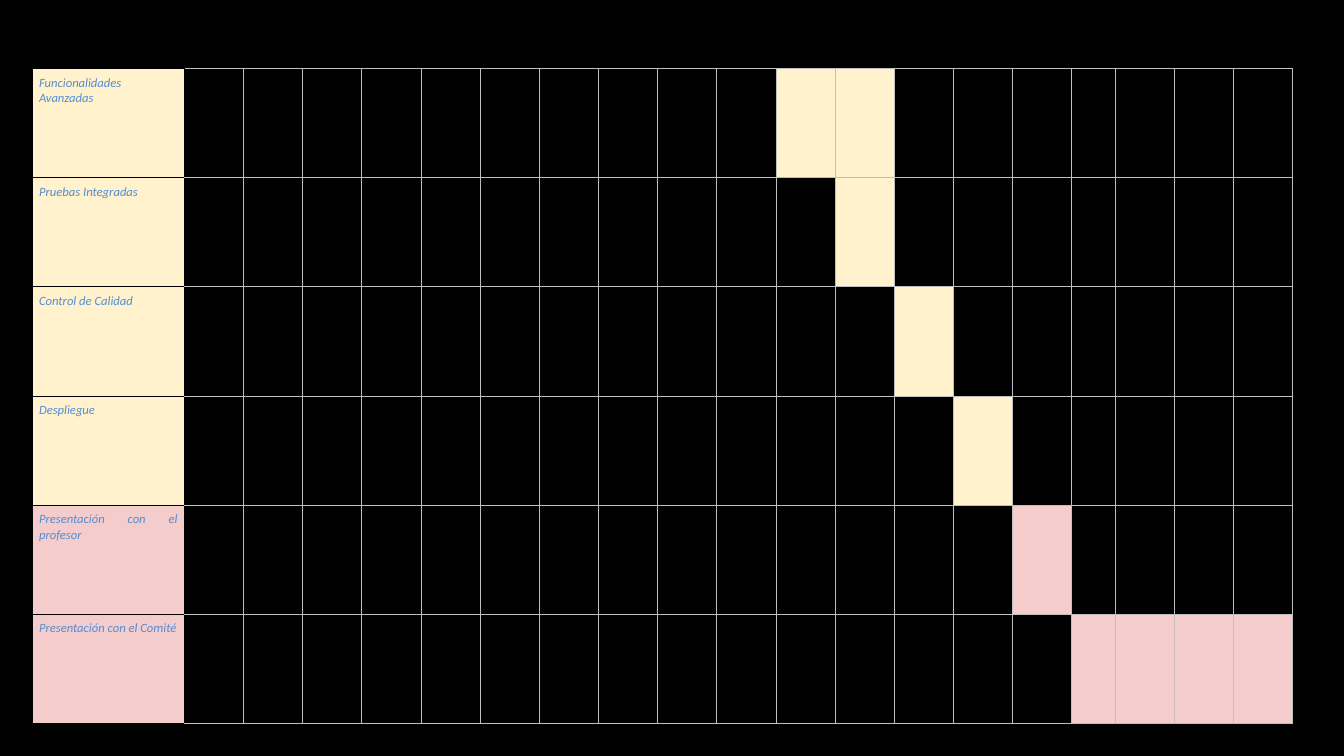
import pptx
import pptx.dml.color
import pptx.enum.text
import pptx.oxml
import pptx.oxml.ns
import pptx.util

Pt = pptx.util.Pt

BLACK, GRID, TEXT = "000000", "BFBFBF", "548DD4"
YELLOW, PINK = "FFF2CC", "F4CCCC"
LEFT, TOP = 22.9, 48.95
LABEL_WIDTH, WEEK_WIDTH, SHORT_WIDTH, ROW_HEIGHT = 108.7, 42.28, 30.9, 77.95
WEEKS, SHORT_WEEK = 19, 16

# Task, colour, first and last week
TASKS = [
    ("Funcionalidades Avanzadas", YELLOW, 11, 12),
    ("Pruebas Integradas", YELLOW, 12, 12),
    ("Control de Calidad", YELLOW, 13, 13),
    ("Despliegue", YELLOW, 14, 14),
    ("Presentación con el profesor", PINK, 15, 15),
    ("Presentación con el Comité", PINK, 16, 19),
]
MARGINS = {f"margin_{side}": Pt(5) for side in ("left", "right", "top", "bottom")}
LABEL_FONT = {"name": "Calibri", "size": Pt(9), "italic": True}
LABEL_PARAGRAPH = {
    "alignment": pptx.enum.text.PP_ALIGN.JUSTIFY,
    "space_after": Pt(8),
}


def color(value):
    return pptx.dml.color.RGBColor.from_string(value)


def set_format(target, values):
    for name, value in values.items():
        setattr(target, name, value)


def set_fill(target, value):
    if value:
        target.fill.solid()
        target.fill.fore_color.rgb = color(value)
    else:
        target.fill.background()


def set_borders(cell, **colors):
    properties = cell._tc.get_or_add_tcPr()
    namespace = pptx.oxml.ns.nsdecls("a")
    for index, side in enumerate("LRTB"):
        line = pptx.oxml.parse_xml(
            f'<a:ln{side} {namespace} w="{Pt(0.5)}"><a:solidFill>'
            f'<a:srgbClr val="{colors[side]}"/></a:solidFill></a:ln{side}>'
        )
        properties.insert(index, line)


def write_label(cell, text):
    set_format(cell, MARGINS)
    paragraph = cell.text_frame.paragraphs[0]
    set_format(paragraph, LABEL_PARAGRAPH)
    run = paragraph.add_run()
    run.text = text
    set_format(run.font, LABEL_FONT)
    run.font.color.rgb = color(TEXT)


def add_schedule(slide):
    width = LABEL_WIDTH + (WEEKS - 1) * WEEK_WIDTH + SHORT_WIDTH
    height = len(TASKS) * ROW_HEIGHT
    frame = slide.shapes.add_table(
        len(TASKS), WEEKS + 1, Pt(LEFT), Pt(TOP), Pt(width), Pt(height)
    )
    table = frame.table
    set_format(table, {"first_row": False, "horz_banding": False})

    # Column widths
    special_widths = {0: LABEL_WIDTH, SHORT_WEEK: SHORT_WIDTH}
    for index, column in enumerate(table.columns):
        column.width = Pt(special_widths.get(index, WEEK_WIDTH))

    # Task labels and week bars
    for row, (task, bar_color, first, last) in zip(table.rows, TASKS):
        row.height = Pt(ROW_HEIGHT)
        for week, cell in enumerate(row.cells):
            is_label = week == 0
            filled = is_label or first <= week <= last
            set_fill(cell, bar_color if filled else None)
            edge = BLACK if is_label else GRID
            left = BLACK if week <= 1 else GRID
            set_borders(cell, L=left, R=edge, T=edge, B=edge)
            if is_label:
                write_label(cell, task)


def main():
    presentation = pptx.Presentation()
    presentation.slide_width = Pt(960)
    presentation.slide_height = Pt(540)
    slide = presentation.slides.add_slide(presentation.slide_layouts[6])
    set_fill(slide.background, BLACK)
    add_schedule(slide)
    presentation.save("out.pptx")


if __name__ == "__main__":
    main()
